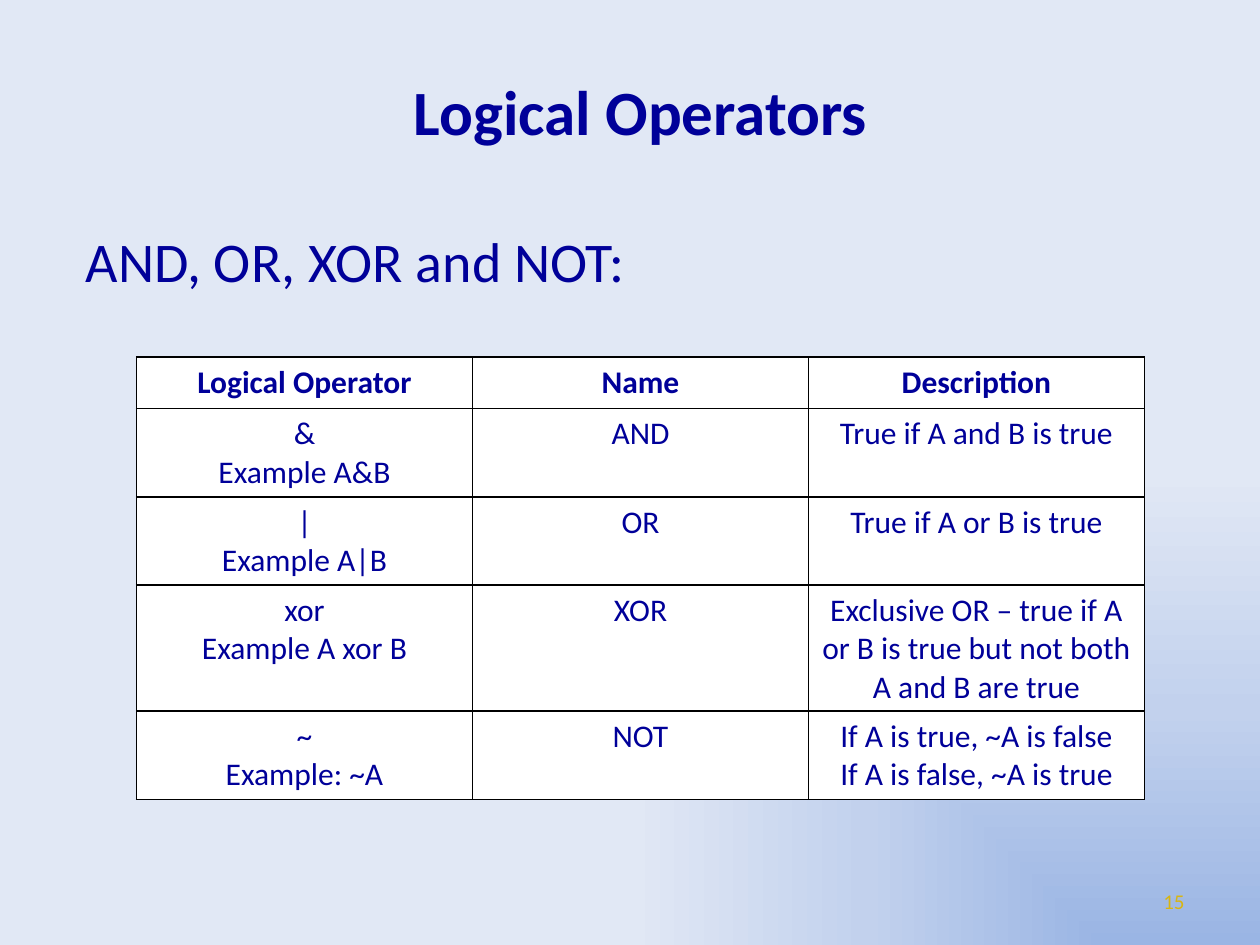
from dataclasses import dataclass

from lxml.etree import fromstring
from pptx import Presentation
from pptx.dml.color import RGBColor as RGB
from pptx.enum.text import MSO_ANCHOR as Anchor, PP_ALIGN as Align
from pptx.oxml.ns import nsdecls, qn
from pptx.util import Inches, Pt


@dataclass(frozen=True)
class Theme:
    font: str = "Calibri"
    ink: str = "000099"
    gold: str = "D8B511"
    paper: str = "FFFFFF"
    rule: str = "000000"
    glow: tuple = ((0, "9AB5E4"), (50, "C2D1ED"), (100, "E1E8F5"))
    title: int = 36
    lead: int = 32
    cell: int = 18
    page: int = 12


LOOK = Theme()

HEAD = ("Logical Operator", "Name", "Description")
ROWS = (
    ("&\nExample A&B", "AND", "True if A and B is true"),
    ("|\nExample A|B", "OR", "True if A or B is true"),
    ("xor\nExample A xor B", "XOR",
     "Exclusive OR – true if A or B is true but not both A and B are true"),
    ("~\nExample: ~A", "NOT",
     "If A is true, ~A is false\nIf A is false, ~A is true"),
)


def unit(n):
    """Grid of 120 columns by 90 rows, twelve to the inch."""
    return Inches(n / 12)


def write(frame, text, size, align, color=LOOK.ink, bold=False):
    """One paragraph per line of text, each with one run."""
    for i, line in enumerate(text.split("\n")):
        para = frame.add_paragraph() if i else frame.paragraphs[0]
        para.alignment = align
        run = para.add_run()
        run.text = line
        font = run.font
        font.name, font.size, font.bold = LOOK.font, Pt(size), bold
        font.color.rgb = RGB.from_string(color)


def paint(slide):
    """Gradient that glows from the lower right corner."""
    stops = "".join(
        f'<a:gs pos="{pos * 1000}"><a:srgbClr val="{color}"/></a:gs>'
        for pos, color in LOOK.glow)
    back = parse_xml(
        f'<p:bg {nsdecls("p", "a")}><p:bgPr><a:gradFill rotWithShape="0">'
        f'<a:gsLst>{stops}</a:gsLst><a:path path="rect">'
        '<a:fillToRect l="100000" t="100000"/></a:path></a:gradFill>'
        '<a:effectLst/></p:bgPr></p:bg>')
    slide.element.find(qn("p:cSld")).insert(0, back)


def parse_xml(text):
    return fromstring(text)


def add_title(slide, text, *box):
    head = slide.shapes.title
    head.left, head.top, head.width, head.height = map(unit, box)
    head.text_frame.vertical_anchor = Anchor.MIDDLE
    write(head.text_frame, text, LOOK.title, Align.CENTER, bold=True)


def add_text(slide, text, box, size, align, anchor=Anchor.TOP, color=LOOK.ink):
    frame = slide.shapes.add_textbox(*map(unit, box)).text_frame
    frame.word_wrap = True
    frame.vertical_anchor = anchor
    write(frame, text, size, align, color)


def edge(cell):
    """Thin line on all four sides; lines come before the fill."""
    props = cell._tc.get_or_add_tcPr()
    for i, side in enumerate("LRTB"):
        props.insert(i, parse_xml(
            f'<a:ln{side} {nsdecls("a")} w="{Pt(1)}"><a:solidFill>'
            f'<a:srgbClr val="{LOOK.rule}"/></a:solidFill></a:ln{side}>'))


def add_grid(slide, rows, left, top, wide, high):
    """Equal columns; rows grow to fit their text."""
    size = len(rows), len(rows[0])
    table = slide.shapes.add_table(
        *size, unit(left), unit(top), unit(wide), Inches(high * size[0])).table
    for r, row in enumerate(rows):
        for c, text in enumerate(row):
            cell = table.cell(r, c)
            cell.fill.solid()
            cell.fill.fore_color.rgb = RGB.from_string(LOOK.paper)
            edge(cell)
            write(cell.text_frame, text, LOOK.cell, Align.CENTER, bold=r == 0)


def main():
    deck = Presentation()
    deck.slide_width, deck.slide_height = unit(120), unit(90)
    slide = deck.slides.add_slide(deck.slide_layouts[5])
    paint(slide)

    # Heading and lead line
    add_title(slide, "Logical Operators", 7, 3, 108, 15)
    add_text(slide, "AND, OR, XOR and NOT:", (7, 21, 108, 9),
             LOOK.lead, Align.JUSTIFY)

    # Operators
    add_grid(slide, (HEAD, *ROWS), 13, 34, 96, 0.41)

    # Page number
    add_text(slide, "15", (86, 83.4, 28, 4.8), LOOK.page, Align.RIGHT,
             Anchor.MIDDLE, LOOK.gold)

    deck.save("out.pptx")


if __name__ == "__main__":
    main()
